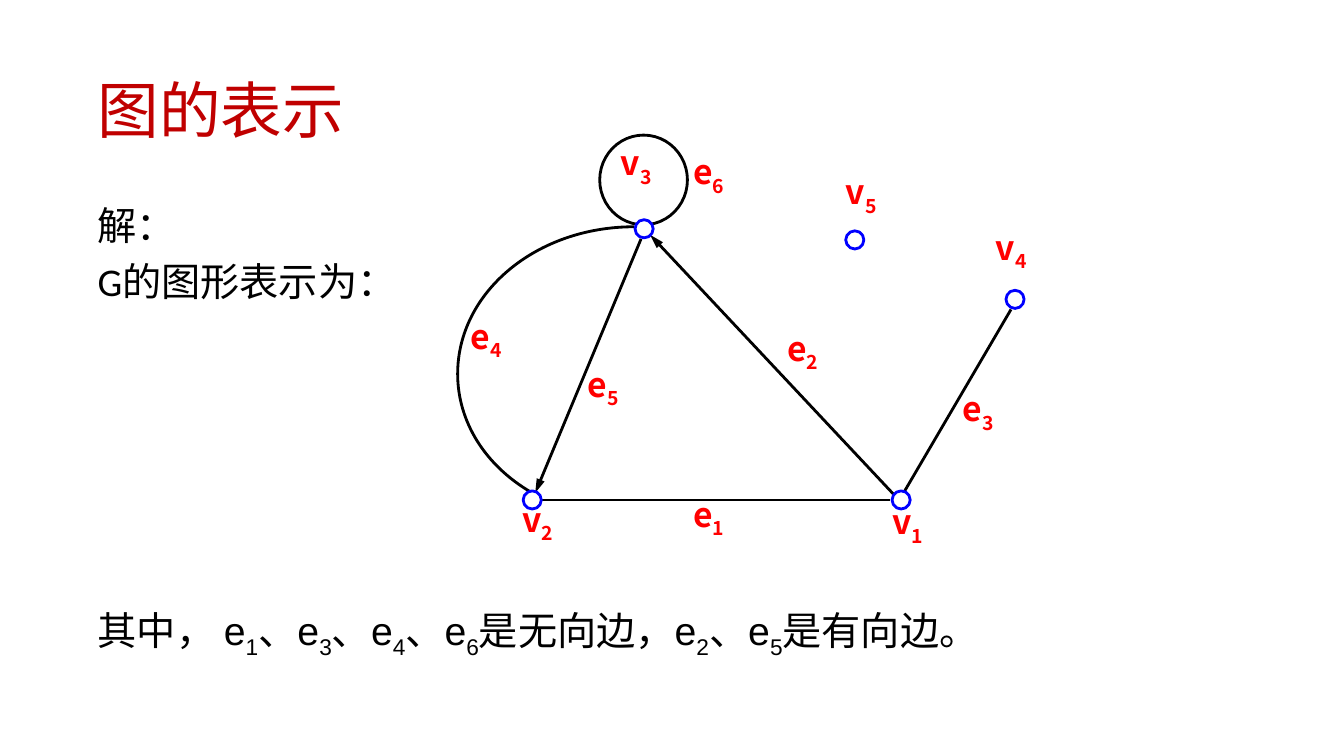
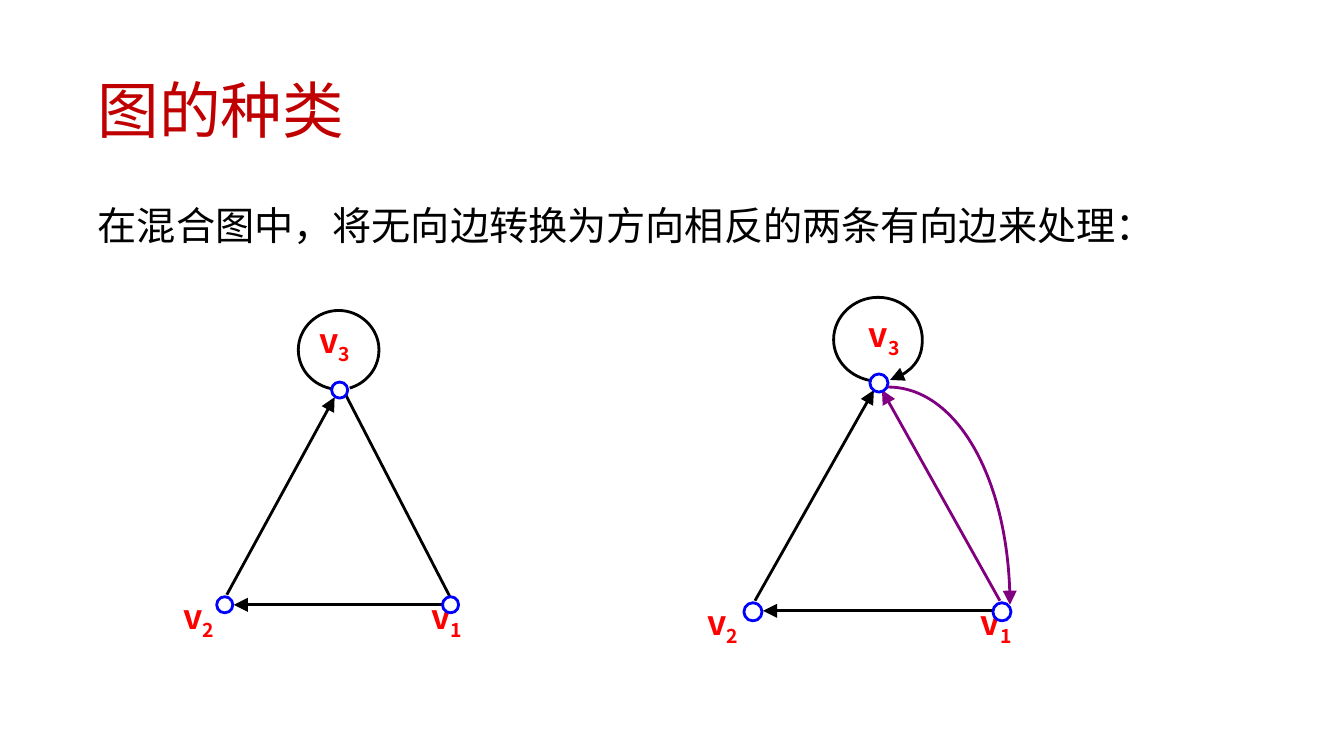
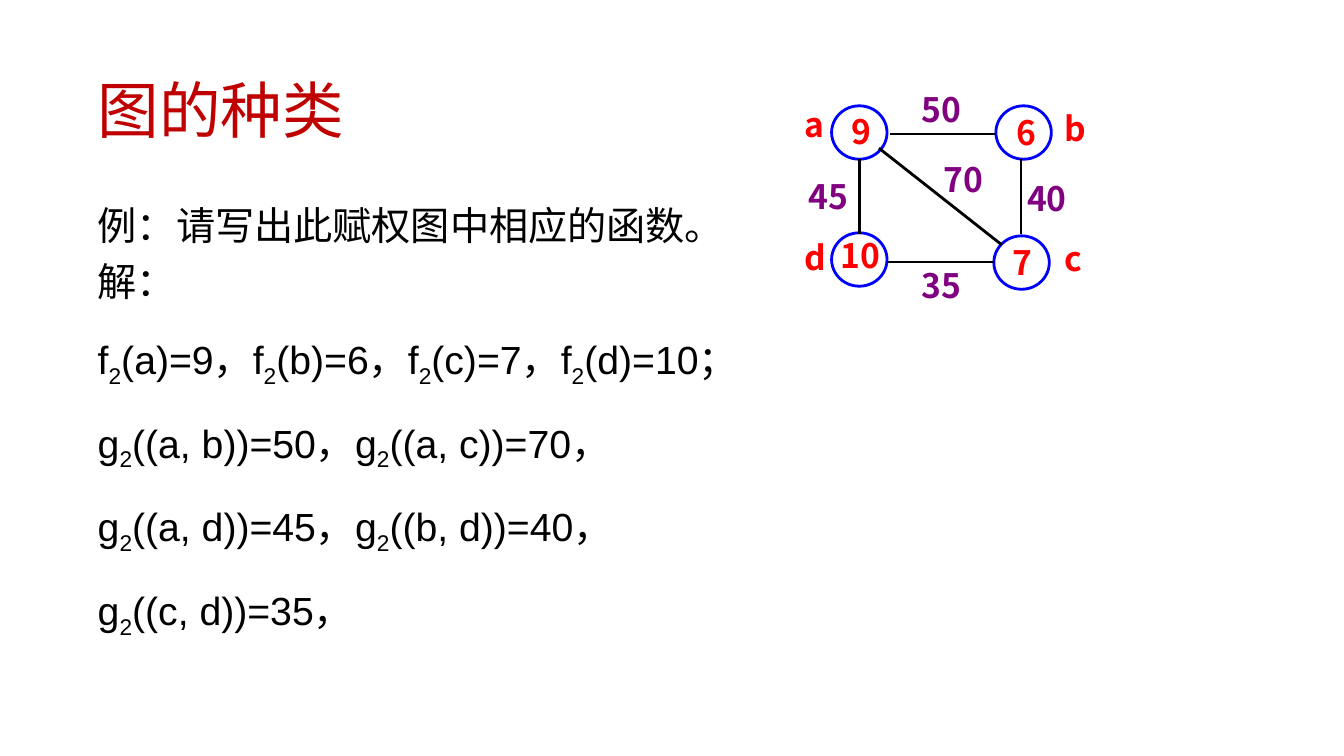
from pptx import Presentation
from pptx.dml.color import RGBColor
from pptx.enum.shapes import MSO_CONNECTOR, MSO_SHAPE
from pptx.enum.text import MSO_ANCHOR
from pptx.oxml.ns import qn
from pptx.util import Pt
from lxml import etree

STRAIGHT = MSO_CONNECTOR.STRAIGHT
OVAL = MSO_SHAPE.OVAL
TOP = MSO_ANCHOR.TOP
MIDDLE = MSO_ANCHOR.MIDDLE

BLACK = RGBColor(0x00, 0x00, 0x00)
WHITE = RGBColor(0xFF, 0xFF, 0xFF)
TITLE_RED = RGBColor(0xC0, 0x00, 0x00)
RED = RGBColor(0xFF, 0x00, 0x00)
BLUE = RGBColor(0x00, 0x00, 0xFF)
PURPLE = RGBColor(0x80, 0x00, 0x80)

TEXT_FONT = "Calibri"
FORMULA_FONT = "Arial"
LABEL_FONT = "Noto Sans CJK SC"
SLIM_ARROW = ("med", "lg")
WIDE_ARROW = ("lg", "lg")
PX = 9144


class Deck:
    def __init__(self):
        self.presentation = Presentation()
        self.presentation.slide_width = 12192000
        self.presentation.slide_height = 750 * PX
        self.slide = None

    def new_slide(self, title):
        layout = self.presentation.slide_layouts[6]
        self.slide = self.presentation.slides.add_slide(layout)
        frame = self.text_frame(92, 40, 1150, 145, 5, MIDDLE)
        self.set_text(frame.paragraphs[0], [(title, TEXT_FONT)], 44, TITLE_RED, 0.9)

    def text_frame(self, left, top, width, height, inset=0, anchor=TOP):
        box = self.slide.shapes.add_textbox(left * PX, top * PX, width * PX, height * PX)
        frame = box.text_frame
        frame.word_wrap = True
        frame.vertical_anchor = anchor
        frame.margin_left = frame.margin_right = inset * PX
        frame.margin_top = frame.margin_bottom = inset * PX
        return frame

    def set_text(self, paragraph, pieces, size, color, spacing=1.0, bold=False):
        paragraph.line_spacing = spacing
        paragraph.font.size = Pt(size)
        paragraph.font.bold = bold
        paragraph.font.color.rgb = color
        for text, font in pieces:
            first, *rest = text.split("_")
            parts = [(first, False)]
            for part in rest:
                parts += [(part[0], True), (part[1:], False)]
            for words, lowered in parts:
                if words:
                    run = paragraph.add_run()
                    run.text = words
                    run.font.name = font
                    if lowered:
                        run.font._element.set("baseline", "-25000")

    def body(self, top, height, lines):
        frame = self.text_frame(92, top, 1150, height, 5)
        for index, (spacing, *pieces) in enumerate(lines):
            paragraph = frame.add_paragraph() if index else frame.paragraphs[0]
            paragraph.space_before = Pt(10)
            self.set_text(paragraph, pieces, 28, BLACK, spacing)

    def label(self, text, left, top, color=RED):
        frame = self.text_frame(left, top, 70, 52)
        self.set_text(frame.paragraphs[0], [(text, LABEL_FONT)], 24, color, bold=True)

    def ellipse(self, left, top, width, height, color=BLUE, fill=None):
        shape = self.slide.shapes.add_shape(OVAL, left * PX, top * PX, width * PX, height * PX)
        shape.shadow.inherit = False
        if fill is None:
            shape.fill.background()
        else:
            shape.fill.solid()
            shape.fill.fore_color.rgb = fill
        self.stroke(shape, color)

    def vertex(self, left, top, size=18):
        self.ellipse(left, top, size, size, fill=WHITE)

    def stroke(self, shape, color, arrow=None):
        shape.line.color.rgb = color
        shape.line.width = Pt(2)
        if arrow:
            width, length = arrow
            line = shape._element.spPr.find(qn("a:ln"))
            etree.SubElement(line, qn("a:tailEnd"), type="triangle", w=width, len=length)

    def edge(self, start, end, color=BLACK, arrow=None):
        x1, y1, x2, y2 = (value * PX for value in start + end)
        connector = self.slide.shapes.add_connector(STRAIGHT, x1, y1, x2, y2)
        self.stroke(connector, color, arrow)
        etree.SubElement(connector._element.spPr, qn("a:effectLst"))

    def curve(self, points, color=BLACK, arrow=None):
        (x, y), *controls = [(left * PX, top * PX) for left, top in points]
        builder = self.slide.shapes.build_freeform(x, y)
        builder.add_line_segments(controls, close=False)
        shape = builder.convert_to_shape()
        segments = list(shape._element.iter(qn("a:lnTo")))
        for index in range(0, len(segments), 3):
            bezier = etree.Element(qn("a:cubicBezTo"))
            segments[index].addprevious(bezier)
            for segment in segments[index:index + 3]:
                bezier.append(segment[0])
                segment.getparent().remove(segment)
        shape.shadow.inherit = False
        shape.fill.background()
        self.stroke(shape, color, arrow)


def graph_drawing(deck):
    deck.new_slide("图的表示")
    deck.body(200, 110, [
        (0.9, ("解：", TEXT_FONT)),
        (0.9, ("G的图形表示为：", TEXT_FONT)),
    ])
    deck.body(597, 60, [
        (0.9, ("其中，", TEXT_FONT),
         (" e_1、e_3、e_4、e_6是无向边，e_2、e_5是有向边。", FORMULA_FONT)),
    ])
    deck.edge((534, 496), (883, 496))
    deck.edge((1003, 307), (897, 488))
    deck.edge((889, 493), (645, 233), arrow=SLIM_ARROW)
    deck.edge((636, 237), (531, 489), arrow=SLIM_ARROW)
    deck.curve([(629, 225), (532, 225), (454, 290), (454, 371),
                (454, 418), (481, 462), (528, 489)])
    deck.ellipse(595, 134, 87, 89, BLACK)
    for left, top in [(839, 229), (885, 487), (630, 218), (998, 288), (519, 487)]:
        deck.vertex(left, top)
    for text, left, top in [
        ("v_1", 885, 497), ("v_2", 518, 495), ("v_3", 616, 141),
        ("v_4", 988, 225), ("v_5", 839, 170), ("e_1", 688, 490),
        ("e_2", 781, 325), ("e_3", 955, 385), ("e_4", 467, 313),
        ("e_5", 583, 361), ("e_6", 688, 150),
    ]:
        deck.label(text, left, top)


def mixed_graph(deck):
    deck.new_slide("图的种类")
    deck.body(200, 476, [
        (0.9, ("在混合图中，将无向边转换为方向相反的两条有向边来处理：", TEXT_FONT)),
    ])
    deck.curve([(331, 386), (311, 383), (296, 367), (296, 347),
                (296, 326), (314, 308), (336, 308),
                (358, 308), (376, 326), (376, 347),
                (376, 365), (364, 380), (347, 385)])
    deck.curve([(866, 378), (844, 375), (827, 358), (827, 337),
                (827, 314), (847, 295), (871, 295),
                (896, 295), (915, 314), (915, 337),
                (915, 355), (902, 372), (883, 377)], arrow=WIDE_ARROW)
    deck.edge((339, 384), (451, 601))
    for start, end, color in [
        ((441, 600), (232, 600), BLACK), ((225, 590), (332, 394), BLACK),
        ((986, 606), (757, 606), BLACK), ((749, 596), (867, 387), BLACK),
        ((992, 596), (875, 387), PURPLE),
    ]:
        deck.edge(start, end, color, WIDE_ARROW)
    for text, left, top in [
        ("v_1", 428, 591), ("v_2", 182, 591), ("v_3", 317, 317),
        ("v_1", 973, 597), ("v_2", 702, 597), ("v_3", 862, 311),
    ]:
        deck.label(text, left, top)
    for left, top, size in [
        (329, 379, 16), (215, 592, 16), (439, 592, 16),
        (863, 371, 18), (738, 598, 18), (985, 598, 18),
    ]:
        deck.vertex(left, top, size)
    deck.curve([(881, 384), (948, 384), (1002, 478), (1002, 600)], PURPLE, WIDE_ARROW)


def weighted_graph(deck):
    deck.new_slide("图的种类")
    formulas = [
        "f_2(a)=9，f_2(b)=6，f_2(c)=7，f_2(d)=10；",
        "g_2((a, b))=50，g_2((a, c))=70，",
        "g_2((a, d))=45，g_2((b, d))=40，",
        "g_2((c, d))=35，",
    ]
    deck.body(200, 476, [
        (0.9, ("例：请写出此赋权图中相应的函数。", TEXT_FONT)),
        (0.9, ("解：", TEXT_FONT)),
    ] + [(1.3, (formula, FORMULA_FONT)) for formula in formulas])
    for left, top in [(825, 105), (988, 105), (825, 231), (986, 234)]:
        deck.ellipse(left, top, 55, 53)
    for start, end in [
        ((883, 133), (988, 133)), ((1013, 158), (1013, 232)),
        ((880, 260), (986, 260)), ((853, 158), (853, 232)),
        ((872, 147), (994, 243)),
    ]:
        deck.edge(start, end)
    for text, left, top in [
        ("a", 798, 103), ("b", 1056, 107), ("c", 1056, 236), ("d", 798, 235),
        ("9", 845, 110), ("6", 1008, 111), ("7", 1005, 240), ("10", 834, 233),
    ]:
        deck.label(text, left, top)
    for text, left, top in [
        ("50", 914, 88), ("40", 1019, 176), ("70", 936, 158),
        ("35", 914, 263), ("45", 802, 174),
    ]:
        deck.label(text, left, top, PURPLE)


def main():
    deck = Deck()
    graph_drawing(deck)
    mixed_graph(deck)
    weighted_graph(deck)
    deck.presentation.save("out.pptx")


if __name__ == "__main__":
    main()
